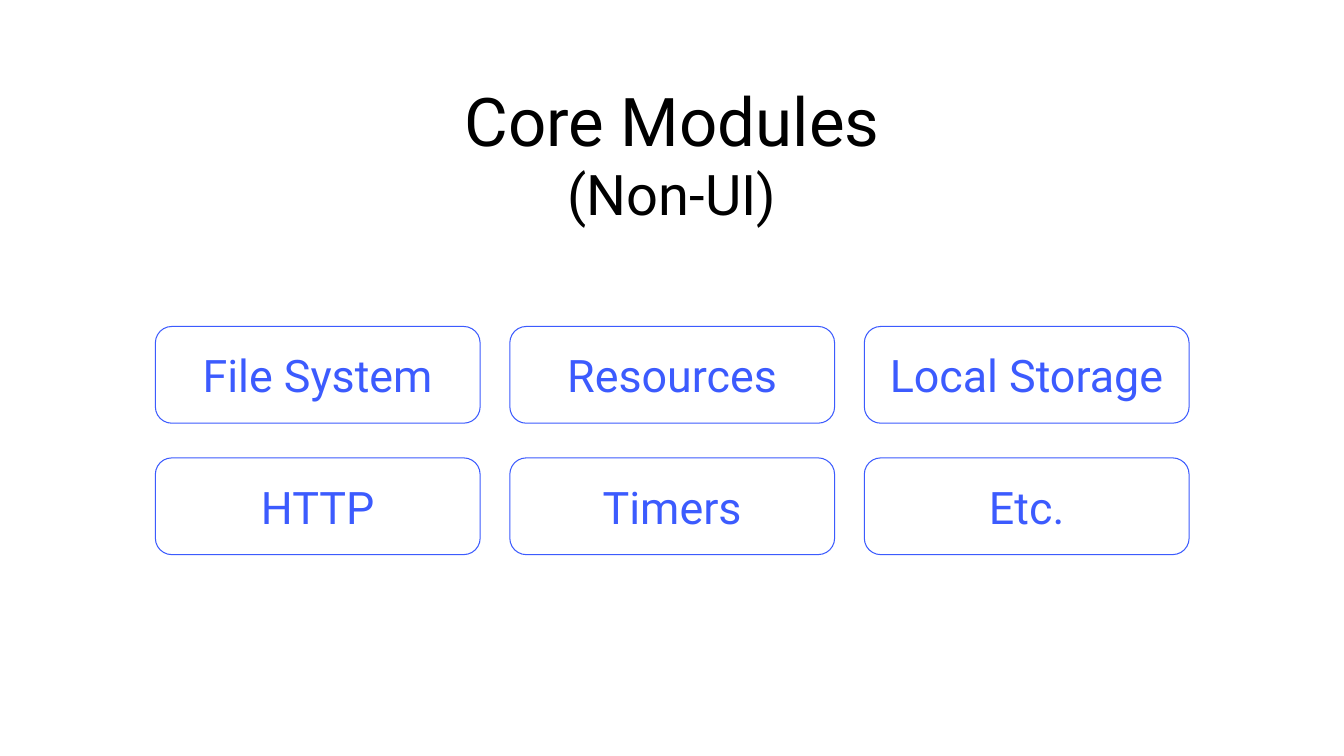
from dataclasses import dataclass

from pptx import Presentation
from pptx.dml.color import RGBColor
from pptx.enum.shapes import MSO_SHAPE
from pptx.enum.text import MSO_ANCHOR, MSO_AUTO_SIZE, PP_ALIGN
from pptx.slide import Slide
from pptx.text.text import TextFrame
from pptx.util import Pt

ROUND = MSO_SHAPE.ROUNDED_RECTANGLE
TOP, MIDDLE = MSO_ANCHOR.TOP, MSO_ANCHOR.MIDDLE
CENTER = PP_ALIGN.CENTER
FIXED = MSO_AUTO_SIZE.NONE

FONT = "Roboto"
HUES = {"ink": "000000", "blue": "3C5BFE"}
INSET = 9.6

# Grid of module cards, in points
LEFT, UPPER = 111, 233.2
WIDTH, HEIGHT = 232, 69.1
STEP_X, STEP_Y = 253.2, 93.9
MODULES = [
    ["File System", "Resources", "Local Storage"],
    ["HTTP", "Timers", "Etc."],
]


@dataclass
class Line:
    text: str
    size: float
    hue: str


@dataclass
class Card:
    label: str
    col: int
    row: int


def write(frame: TextFrame, lines: list[Line], anchor: MSO_ANCHOR) -> None:
    frame.word_wrap = True
    frame.auto_size = FIXED
    frame.vertical_anchor = anchor
    frame.margin_left = frame.margin_right = Pt(INSET)
    frame.margin_top = frame.margin_bottom = Pt(INSET)
    for i, line in enumerate(lines):
        para = frame.add_paragraph() if i else frame.paragraphs[0]
        para.alignment = CENTER
        run = para.add_run()
        run.text = line.text
        run.font.name = FONT
        run.font.size = Pt(line.size)
        run.font.color.rgb = RGBColor.from_string(HUES[line.hue])


def draw(slide: Slide, card: Card) -> None:
    shape = slide.shapes.add_shape(
        ROUND,
        Pt(LEFT + card.col * STEP_X),
        Pt(UPPER + card.row * STEP_Y),
        Pt(WIDTH),
        Pt(HEIGHT),
    )
    shape.adjustments[0] = 0.17
    shape.shadow.inherit = False
    shape.fill.background()
    shape.line.color.rgb = RGBColor.from_string(HUES["blue"])
    shape.line.width = Pt(0.75)
    write(shape.text_frame, [Line(card.label, 32, "blue")], MIDDLE)


def main() -> None:
    deck = Presentation()
    deck.slide_width, deck.slide_height = Pt(960), Pt(540)
    slide = deck.slides.add_slide(deck.slide_layouts[5])

    # Title
    title = slide.shapes.title
    title.left, title.top = Pt(32.7), Pt(46.8)
    title.width, title.height = Pt(894.6), Pt(60.5)
    heads = [Line("Core Modules", 48, "ink"), Line("(Non-UI)", 40, "ink")]
    write(title.text_frame, heads, TOP)

    # Module cards
    for row, labels in enumerate(MODULES):
        for col, label in enumerate(labels):
            draw(slide, Card(label, col, row))

    deck.save("out.pptx")


if __name__ == "__main__":
    main()
